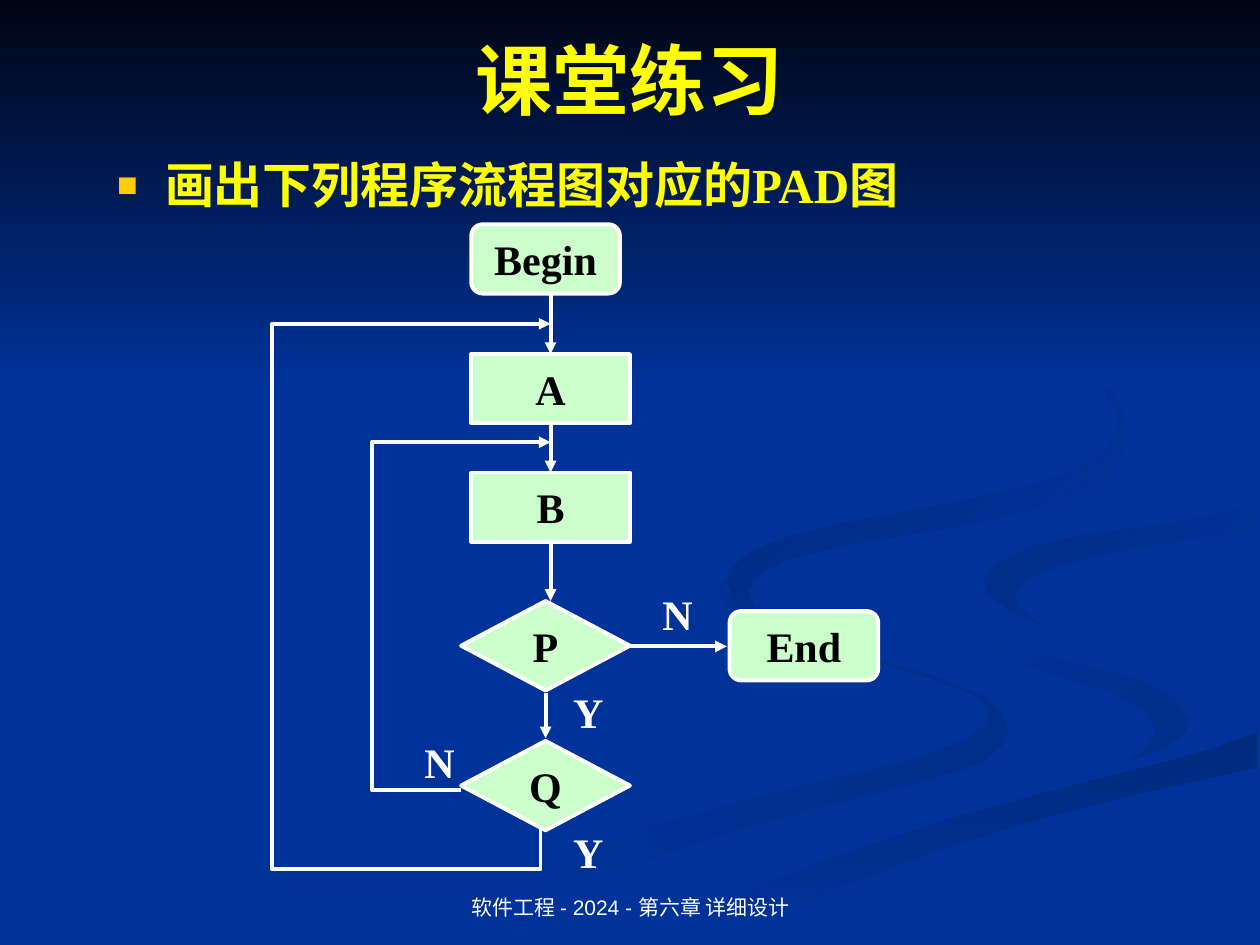
from lxml.etree import SubElement
from pptx import Presentation
from pptx.dml.color import RGBColor
from pptx.enum.shapes import MSO_CONNECTOR, MSO_SHAPE
from pptx.enum.text import MSO_ANCHOR, MSO_AUTO_SIZE, PP_ALIGN
from pptx.oxml.ns import qn
from pptx.util import Inches, Pt

hue = RGBColor.from_string
deck = Presentation()
deck.slide_width, deck.slide_height = Inches(10), Inches(7.5)
cell = deck.slide_width / 100  # the slide is a grid of 100 columns by 75 rows
slide = deck.slides.add_slide(deck.slide_layouts[1])
shapes = slide.shapes
WHITE, GOLD, BLUE, MINT = "FFFFFF", "FFFF00", "003399", "CCFFCC"


def grid(*nums):
    """Turn grid columns and rows into lengths."""
    return [round(n * cell) for n in nums]


def write(shape, text, size=24, color=WHITE, bold=True, face="Times New Roman",
          align=PP_ALIGN.LEFT, anchor=MSO_ANCHOR.TOP, wrap=True):
    frame = shape.text_frame
    frame.auto_size = MSO_AUTO_SIZE.NONE
    frame.word_wrap, frame.vertical_anchor = wrap, anchor
    para = frame.paragraphs[0]
    para.alignment, para.space_before = align, Pt(0)
    run = para.add_run()
    run.text = text
    font = run.font
    font.size, font.bold, font.name = Pt(size), bold, face
    font.color.rgb = hue(color)
    return para


# Background: dark at the top, plain blue from two fifths down
back = slide.background.fill
back.gradient()
back.gradient_angle = 270
for stop, color, pos in zip(back.gradient_stops, ("000514", BLUE), (0, 0.41)):
    stop.color.rgb, stop.position = hue(color), pos

# Ribbons: first colour, last colour, clockwise angle, outline
ribbons = [
    (BLUE, "002E8B", 0, [
        (78.1, 55.3), (74.5, 53.8), (68.2, 51.9), (62.6, 50.2), (59.4, 48.5),
        (57.6, 46.9), (57.5, 45.9), (57, 46.8), (57.6, 48), (60.2, 49.5),
        (67.9, 51.9), (74.1, 53.9), (77.6, 55.3), (78.5, 56.2), (78.3, 57.4),
        (76.7, 58.7), (72.7, 60.2), (65.2, 62), (53.9, 64.9), (45.8, 67.4),
        (37.6, 70.7), (30, 74.9), (36.1, 74.9), (43.1, 71.4), (49.9, 68.7),
        (59.4, 65.6), (67.6, 63.4), (74, 61.8), (78, 60.5), (79.5, 59.2),
        (80, 58.1), (79.5, 56.7)]),
    (BLUE, "002E8B", 45, [
        (94.3, 57), (93, 55.3), (90.5, 54), (87, 53), (81.1, 51.5),
        (75.8, 49.8), (73.3, 48.3), (72.4, 46.4), (73, 48.3), (74.6, 50),
        (78.1, 51.8), (83.8, 53.6), (88, 54.9), (90.7, 56.2), (91.8, 58.1),
        (91.1, 59.3), (89.4, 60.5), (92.5, 59.3), (94.1, 58.1)]),
    ("002A7D", BLUE, 90, [
        (51.9, 74.7), (50.3, 74.9), (57.1, 74.9), (61.4, 72.6), (67, 70.2),
        (75.2, 67.2), (82.1, 65.1), (90.3, 63), (99.8, 60.9), (99.8, 58.1),
        (96.3, 59.4), (92, 60.6), (83.1, 62.9), (76.4, 64.7), (69.6, 66.9),
        (63, 69.3), (56.9, 71.9)]),
    ("002D86", BLUE, 45, [
        (78.1, 46), (78.6, 47.4), (80.6, 48.7), (82.6, 49.6), (80.9, 48.3),
        (80.5, 47.2), (81.6, 45.9), (84.3, 44.8), (87.8, 43.9), (93.6, 42.9),
        (99.8, 42), (99.8, 40.2), (93.3, 41.5), (86.5, 42.4), (82.1, 43.3),
        (79.1, 44.7)]),
    ("002B82", BLUE, 45, [
        (68.3, 43), (76.4, 41.7), (82.5, 40.2), (86.7, 38.4), (88.9, 36.2),
        (89.4, 34.4), (89, 32.4), (88, 30.8), (87.7, 30.8), (88.8, 32.8),
        (88.8, 34.1), (87.6, 36), (85.2, 37.4), (81.8, 38.6), (76.3, 39.8),
        (67.6, 41.4), (62.5, 42.6), (59.7, 43.7), (58, 45.1), (57.7, 46.2),
        (58.4, 47.9), (60.4, 49.2), (62.2, 50), (60.1, 48.5), (59.3, 47),
        (60.1, 45.6), (62.4, 44.4)]),
]
for first, last, turn, points in ribbons:
    spots = [grid(*point) for point in points]
    pen = shapes.build_freeform(*spots[0])
    pen.add_line_segments(spots[1:], close=True)
    band = pen.convert_to_shape()
    band.shadow.inherit = False
    band.line.fill.background()
    band.fill.gradient()
    band.fill.gradient_angle = (360 - turn) % 360
    for stop, color in zip(band.fill.gradient_stops, (first, last)):
        stop.color.rgb = hue(color)

# Title and task
title = shapes.title
title.left, title.top, title.width, title.height = grid(7.5, 0, 85, 12.5)
write(title, "课堂练习", size=44, color=GOLD, align=PP_ALIGN.CENTER,
      anchor=MSO_ANCHOR.MIDDLE)
task = slide.placeholders[1]
task.left, task.top, task.width, task.height = grid(8.3, 12.3, 85, 5.6)
para = write(task, "画出下列程序流程图对应的PAD图", size=28, color=GOLD)
para.line_spacing = 0.9
props = para._p.get_or_add_pPr()
props.set("marL", str(Inches(0.38)))
props.set("indent", str(-Inches(0.38)))
tint = SubElement(props, qn("a:buClr"))
SubElement(tint, qn("a:srgbClr"), val="FFCC00")
SubElement(props, qn("a:buSzPct"), val="70000")
SubElement(props, qn("a:buChar"), char="■")

# Flowchart nodes: each kind has one size
sizes = {
    MSO_SHAPE.ROUNDED_RECTANGLE: (11.8, 5.5),
    MSO_SHAPE.RECTANGLE: (12.6, 5.5),
    MSO_SHAPE.DIAMOND: (13.4, 7.1),
}
nodes = [
    ("Begin", MSO_SHAPE.ROUNDED_RECTANGLE, 37.4, 17.8),
    ("A", MSO_SHAPE.RECTANGLE, 37.4, 28.1),
    ("B", MSO_SHAPE.RECTANGLE, 37.4, 37.5),
    ("Q", MSO_SHAPE.DIAMOND, 36.6, 58.8),
    ("P", MSO_SHAPE.DIAMOND, 36.6, 47.7),
    ("End", MSO_SHAPE.ROUNDED_RECTANGLE, 57.9, 48.5),
]
for text, kind, col, row in nodes:
    node = shapes.add_shape(kind, *grid(col, row, *sizes[kind]))
    node.shadow.inherit = False
    node.fill.solid()
    node.fill.fore_color.rgb = hue(MINT)
    node.line.color.rgb, node.line.width = hue(WHITE), Pt(2.25)
    write(node, text, color="000000", align=PP_ALIGN.CENTER,
          anchor=MSO_ANCHOR.MIDDLE, wrap=False)

# Arrows: two points make a straight one, more make a loop back
spine = 43.7
routes = [
    [(spine, 23.3), (spine, 28.1)],
    [(spine, 33.6), (spine, 37.5)],
    [(50.1, 51.3), (57.7, 51.3)],
    [(spine, 43), (spine, 47.7)],
    [(43.3, 55), (43.3, 58.6)],
    [(42.9, 65.8), (42.9, 69), (21.6, 69), (21.6, 25.7), (spine, 25.7)],
    [(36.6, 62.7), (29.5, 62.7), (29.5, 35.1), (spine, 35.1)],
]
for route in routes:
    spots = [grid(*point) for point in route]
    if len(spots) == 2:
        arrow = shapes.add_connector(MSO_CONNECTOR.STRAIGHT, *spots[0], *spots[1])
    else:
        pen = shapes.build_freeform(*spots[0])
        pen.add_line_segments(spots[1:], close=False)
        arrow = pen.convert_to_shape()
        arrow.fill.background()
    arrow.line.color.rgb, arrow.line.width = hue(WHITE), Pt(2.25)
    props = arrow._element.spPr
    SubElement(props.find(qn("a:ln")), qn("a:tailEnd"), type="triangle")
    SubElement(props, qn("a:effectLst"))

# Branch labels
for text, col, row in [("N", 32.7, 58), ("Y", 44.5, 65.1),
                       ("N", 51.6, 46.2), ("Y", 44.5, 54)]:
    write(shapes.add_textbox(*grid(col, row, 4.7, 5)), text)

foot = shapes.add_textbox(*grid(34.2, 68.3, 31.7, 5.2))
write(foot, "软件工程 - 2024 - 第六章 详细设计", size=12, bold=False, face="Arial",
      align=PP_ALIGN.CENTER, anchor=MSO_ANCHOR.BOTTOM)

deck.save("out.pptx")
